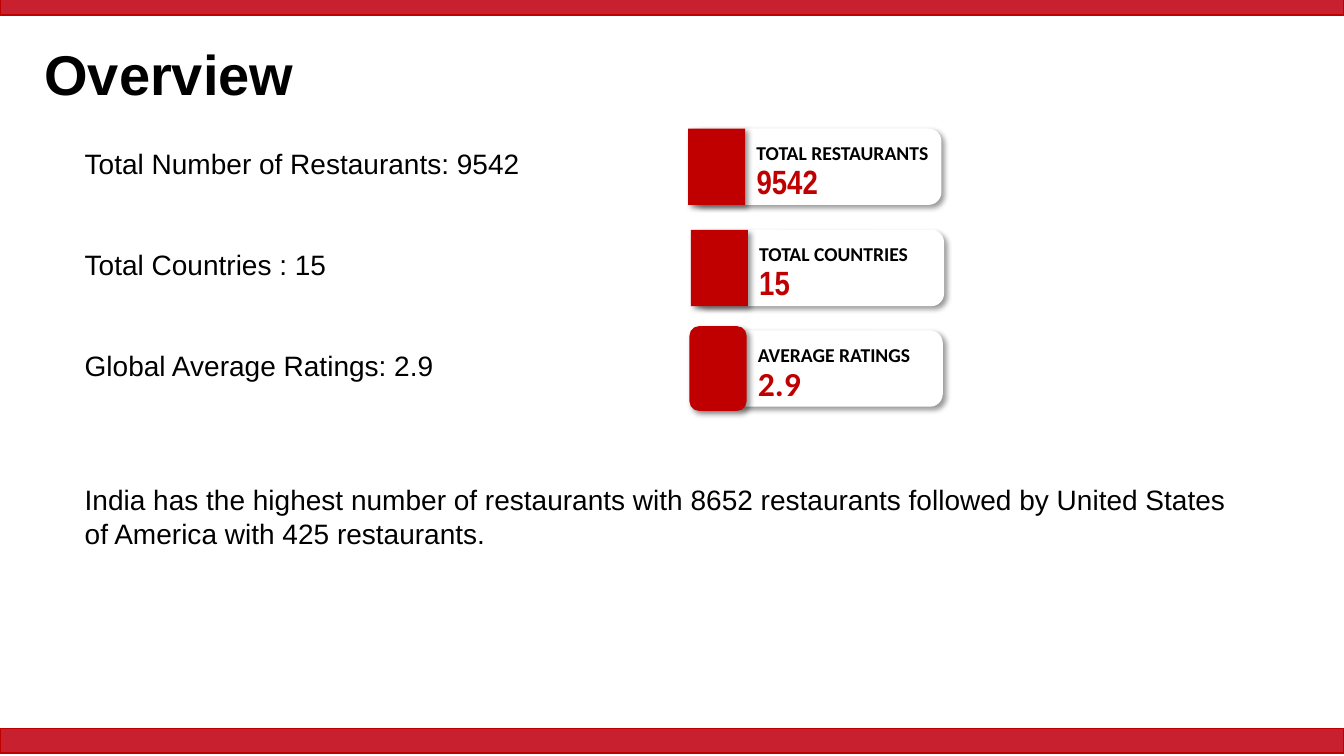
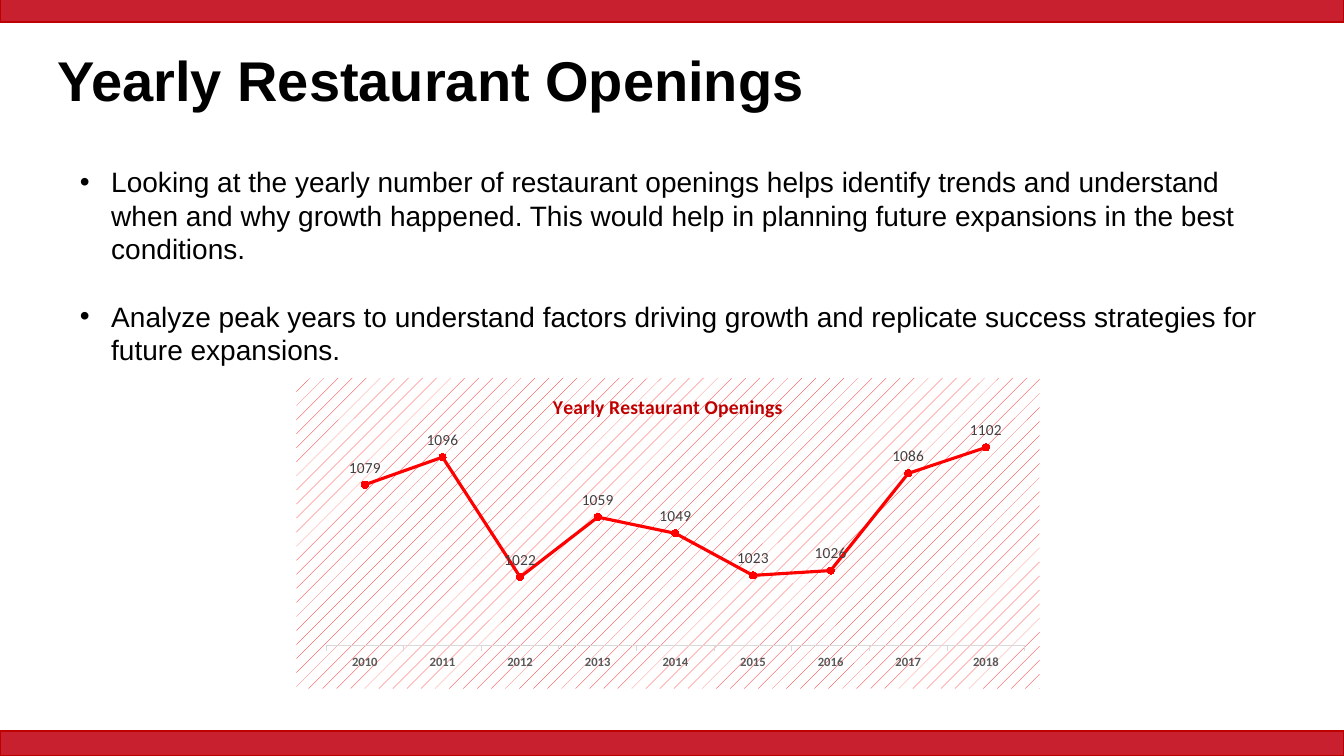
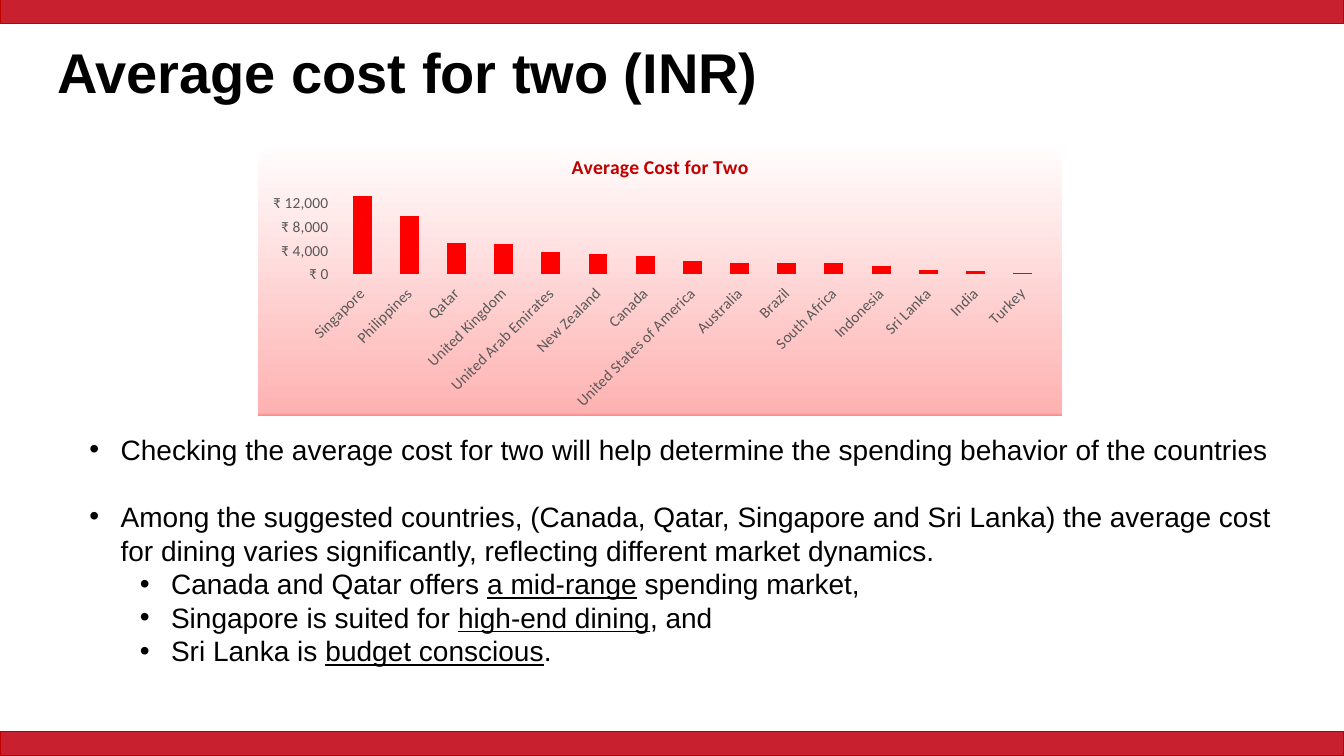
from lxml import etree
from pptx import Presentation
from pptx import util as u
from pptx.chart.data import CategoryChartData
from pptx.dml.color import RGBColor
from pptx.enum import chart as charts, shapes, text
from pptx.oxml import parse_xml
from pptx.oxml.ns import nsdecls, qn

WHITE = RGBColor(0xFF, 0xFF, 0xFF)
BLACK = RGBColor(0x00, 0x00, 0x00)
BAND = RGBColor(0xC8, 0x20, 0x2F)
BAND_EDGE = RGBColor(0xBD, 0x00, 0x00)
DARK_RED = RGBColor(0xC0, 0x00, 0x00)
RED = RGBColor(0xFF, 0x00, 0x00)
PINK = RGBColor(0xFF, 0xB2, 0xB2)
ROSE = RGBColor(0xFF, 0x8C, 0x8C)
LABEL_GRAY = RGBColor(0x40, 0x40, 0x40)
AXIS_GRAY = RGBColor(0x59, 0x59, 0x59)
RULE_GRAY = RGBColor(0xD9, 0xD9, 0xD9)

PATTERN = (f'<a:pattFill prst="pct5"><a:fgClr><a:srgbClr val="{RED}"/></a:fgClr>'
           f'<a:bgClr><a:srgbClr val="{WHITE}"/></a:bgClr></a:pattFill>')
GRADIENT = "<a:gradFill><a:gsLst>" + "".join(
    f'<a:gs pos="{share * 1000}"><a:srgbClr val="{color}"/></a:gs>'
    for share, color in ((0, WHITE), (99, PINK), (100, ROSE))
) + '</a:gsLst><a:lin ang="5400000" scaled="0"/></a:gradFill>'


def style_font(font, size, color, name="Arial", bold=False):
    font.size, font.name, font.bold = u.Pt(size), name, bold
    font.color.rgb = color


def add_shadow(shape):
    effects = shape._element.spPr.find(qn("a:effectLst"))
    shadow = etree.SubElement(effects, qn("a:outerShdw"), blurRad=str(u.Pt(4)),
                              dist=str(u.Pt(3)), dir="2700000", algn="tl", rotWithShape="0")
    color = etree.SubElement(shadow, qn("a:srgbClr"), val=str(BLACK))
    etree.SubElement(color, qn("a:alpha"), val="40000")


class Deck:
    """Places elements by left, top, width and height in percent of the slide."""

    LINE = 24
    INDENT = 0.31
    STEP = 0.5

    def __init__(self):
        self.file = Presentation()
        self.file.slide_width = u.Inches(13.33)
        self.file.slide_height = u.Inches(7.5)
        self.page = None

    def area(self, left, top, width, height):
        across, down = self.file.slide_width / 100, self.file.slide_height / 100
        return [round(v) for v in (left * across, top * down, width * across, height * down)]

    def move(self, shape, place):
        shape.left, shape.top, shape.width, shape.height = self.area(*place)

    def add_page(self, title, title_place, top_band, bottom_band):
        """Each band is its top and height."""
        self.page = self.file.slides.add_slide(self.file.slide_layouts[1])
        for top, height in (top_band, bottom_band):
            self.shape(self.page.shapes, shapes.MSO_SHAPE.RECTANGLE,
                       (0, top, 100, height), BAND, BAND_EDGE)
        box = self.page.shapes.title
        self.move(box, title_place)
        frame = box.text_frame
        frame.text = title
        frame.auto_size = text.MSO_AUTO_SIZE.NONE
        frame.vertical_anchor = text.MSO_ANCHOR.MIDDLE
        para = frame.paragraphs[0]
        para.alignment = text.PP_ALIGN.LEFT
        para.line_spacing = 0.9
        style_font(para.runs[0].font, 40, BLACK, bold=True)

    def shape(self, parent, kind, place, fill, edge=None):
        shape = parent.add_shape(kind, *self.area(*place))
        shape.shadow.inherit = False
        shape.fill.solid()
        shape.fill.fore_color.rgb = fill
        if edge is None:
            shape.line.fill.background()
        else:
            shape.line.color.rgb = edge
            shape.line.width = u.Pt(1)
        return shape

    def body(self, place, items, bullets=True):
        """Items are (text, free lines above, level); _marks_ underline."""
        box = self.page.placeholders[1]
        self.move(box, place)
        frame = box.text_frame
        frame.auto_size = text.MSO_AUTO_SIZE.NONE
        for index, (words, gap, level) in enumerate(items):
            para = frame.add_paragraph() if index else frame.paragraphs[0]
            para.level = level
            para.line_spacing = u.Pt(self.LINE)
            para.space_before = u.Pt(gap * self.LINE)
            para.space_after = u.Pt(0)
            for part, piece in enumerate(words.split("_")):
                span = para.add_run()
                span.text = piece
                style_font(span.font, 20, BLACK)
                if part % 2:
                    span.font.underline = True
            self.bullet(para, level, bullets)

    def bullet(self, para, level, shown):
        props = para._p.get_or_add_pPr()
        margin = self.INDENT + level * self.STEP if shown else 0
        props.set("marL", str(u.Inches(margin)))
        props.set("indent", str(-u.Inches(self.INDENT) if shown else 0))
        if shown:
            etree.SubElement(props, qn("a:buFont"), typeface="Arial")
            etree.SubElement(props, qn("a:buChar"), char="•")
        else:
            etree.SubElement(props, qn("a:buNone"))

    def card(self, left, top, label, value, value_font="Arial Narrow", rounded=False):
        group = self.page.shapes.add_group_shape().shapes
        kind = shapes.MSO_SHAPE.ROUNDED_RECTANGLE
        add_shadow(self.shape(group, kind, (left + 0.1, top, 18.75, 10.1), WHITE))
        grow = 0.55 if rounded else 0
        tile = self.shape(group, kind, (left, top - grow, 4.25, 10.1 + 2 * grow), DARK_RED)
        add_shadow(tile)
        if not rounded:
            tile.adjustments[0] = 0
        for words, shift, width, height, size, color, font in (
                (label, 0.95, 14.85, 3.7, 14, BLACK, "Calibri"),
                (value, 3.6, 9.3, 5.2, 24, DARK_RED, value_font)):
            box = group.add_textbox(*self.area(left + 4.35, top + shift, width, height))
            box.text_frame.word_wrap = True
            box.text_frame.text = words
            style_font(box.text_frame.paragraphs[0].runs[0].font, size, color, font, True)

    def chart(self, kind, place, title, values, fill, plot, scale):
        """Plot is the inner area in shares of the chart; scale is (low, high, step)."""
        data = CategoryChartData()
        data.categories = list(values)
        data.add_series("Series 1", list(values.values()))
        chart = self.page.shapes.add_chart(kind, *self.area(*place), data).chart
        style_font(chart.font, 10, BLACK, "Calibri")
        chart.has_legend = False
        chart.has_title = True
        chart.chart_title.text_frame.text = title
        span = chart.chart_title.text_frame.paragraphs[0].runs[0]
        style_font(span.font, 14, DARK_RED, "Calibri", True)
        chart.plots[0].vary_by_categories = False
        axis = chart.value_axis
        axis.has_major_gridlines = False
        axis.minimum_scale, axis.maximum_scale, axis.major_unit = scale

        chart._chartSpace.find(qn("c:chart")).addnext(parse_xml(
            f'<c:spPr {nsdecls("c", "a")}>{fill}<a:ln><a:noFill/></a:ln></c:spPr>'))
        area = chart._chartSpace.find(qn("c:chart")).find(qn("c:plotArea"))
        for old in area.findall(qn("c:layout")):
            area.remove(old)
        layout = etree.Element(qn("c:layout"))
        manual = etree.SubElement(layout, qn("c:manualLayout"))
        settings = [("layoutTarget", "inner"), ("xMode", "edge"), ("yMode", "edge")]
        for tag, value in settings + list(zip("xywh", plot)):
            etree.SubElement(manual, qn(f"c:{tag}"), val=str(value))
        area.insert(0, layout)
        return chart


def build_overview(deck):
    deck.add_page("Overview", (2.55, 4.8, 90.5, 10.8), (-0.8, 2.8), (96.4, 3.2))
    deck.body((5.55, 18.7, 87.6, 60.5), [
        ("Total Number of Restaurants: 9542", 0, 0),
        ("Total Countries : 15", 2, 0),
        ("Global Average Ratings: 2.9", 2, 0),
        ("India has the highest number of restaurants with 8652 restaurants followed by "
         "United States of America with 425 restaurants.", 3, 0),
    ], bullets=False)
    deck.card(51.2, 17, "TOTAL RESTAURANTS", "9542")
    deck.card(51.4, 30.4, "TOTAL COUNTRIES", "15")
    deck.card(51.3, 43.7, "AVERAGE RATINGS", "2.9", "Calibri", rounded=True)


def build_openings(deck):
    deck.add_page("Yearly Restaurant Openings", (3.5, 5.35, 90.6, 11.3),
                  (-0.4, 3.3), (96.7, 3.3))
    deck.body((5.2, 21.1, 89.95, 28.3), [
        ("Looking at the yearly number of restaurant openings helps identify trends and "
         "understand when and why growth happened. This would help in planning future "
         "expansions in the best conditions.", 0, 0),
        ("Analyze peak years to understand factors driving growth and replicate success "
         "strategies for future expansions.", 1, 0),
    ])
    openings = (1079, 1096, 1022, 1059, 1049, 1023, 1026, 1086, 1102)
    chart = deck.chart(
        charts.XL_CHART_TYPE.LINE_MARKERS, (22.05, 50, 55.3, 41.1),
        "Yearly Restaurant Openings",
        {str(year): count for year, count in enumerate(openings, 2010)},
        PATTERN, (0.04, 0.13, 0.94, 0.73), (980, 1120, 20))
    chart.value_axis.visible = False
    axis = chart.category_axis
    style_font(axis.tick_labels.font, 9, AXIS_GRAY, "Calibri", True)
    axis.format.line.color.rgb = RULE_GRAY
    axis.format.line.width = u.Pt(0.75)

    series = chart.plots[0].series[0]
    series.smooth = False
    series.format.line.color.rgb = RED
    series.format.line.width = u.Pt(2.25)
    marker = series.marker
    marker.style, marker.size = charts.XL_MARKER_STYLE.CIRCLE, 5
    marker.format.fill.solid()
    marker.format.fill.fore_color.rgb = RED
    marker.format.line.color.rgb = RED
    labels = series.data_labels
    labels.show_value = True
    labels.position = charts.XL_LABEL_POSITION.ABOVE
    style_font(labels.font, 11, LABEL_GRAY, "Calibri")


def build_costs(deck):
    deck.add_page("Average cost for two (INR)", (3.5, 5.3, 89.6, 9.3),
                  (-0.1, 3.2), (96.8, 3.2))
    deck.body((5.9, 56.5, 89.6, 32.8), [
        ("Checking the average cost for two will help determine the spending behavior of "
         "the countries", 0, 0),
        ("Among the suggested countries, (Canada, Qatar, Singapore and Sri Lanka) the "
         "average cost for dining varies significantly, reflecting different market "
         "dynamics.", 1, 0),
        ("Canada and Qatar offers _a mid-range_ spending market,", 0, 1),
        ("Singapore is suited for _high-end dining_, and", 0, 1),
        ("Sri Lanka is _budget conscious_.", 0, 1),
    ])
    costs = {
        "Singapore": 13200, "Philippines": 9900, "Qatar": 5300, "United Kingdom": 5100,
        "United Arab Emirates": 3800, "New Zealand": 3500, "Canada": 3100,
        "United States of America": 2200, "Australia": 2000, "Brazil": 2000,
        "South Africa": 1900, "Indonesia": 1500, "Sri Lanka": 700, "India": 600,
        "Turkey": 200,
    }
    chart = deck.chart(
        charts.XL_CHART_TYPE.COLUMN_CLUSTERED, (19.2, 18.4, 59.85, 36.55),
        "Average Cost for Two", costs, GRADIENT, (0.1, 0.19, 0.88, 0.3), (0, 14000, 4000))
    chart.plots[0].gap_width = 150
    bars = chart.plots[0].series[0].format.fill
    bars.solid()
    bars.fore_color.rgb = RED
    for axis in (chart.category_axis, chart.value_axis):
        style_font(axis.tick_labels.font, 11, AXIS_GRAY, "Calibri")
        axis.format.line.fill.background()
    chart.value_axis.tick_labels.number_format = '"₹"\\ #,##0'
    chart.value_axis.tick_labels.number_format_is_linked = False
    slant = chart.category_axis._element.find(qn("c:txPr")).find(qn("a:bodyPr"))
    slant.set("rot", "-2700000")
    slant.set("vert", "horz")


def main():
    deck = Deck()
    build_overview(deck)
    build_openings(deck)
    build_costs(deck)
    deck.file.save("out.pptx")


if __name__ == "__main__":
    main()
